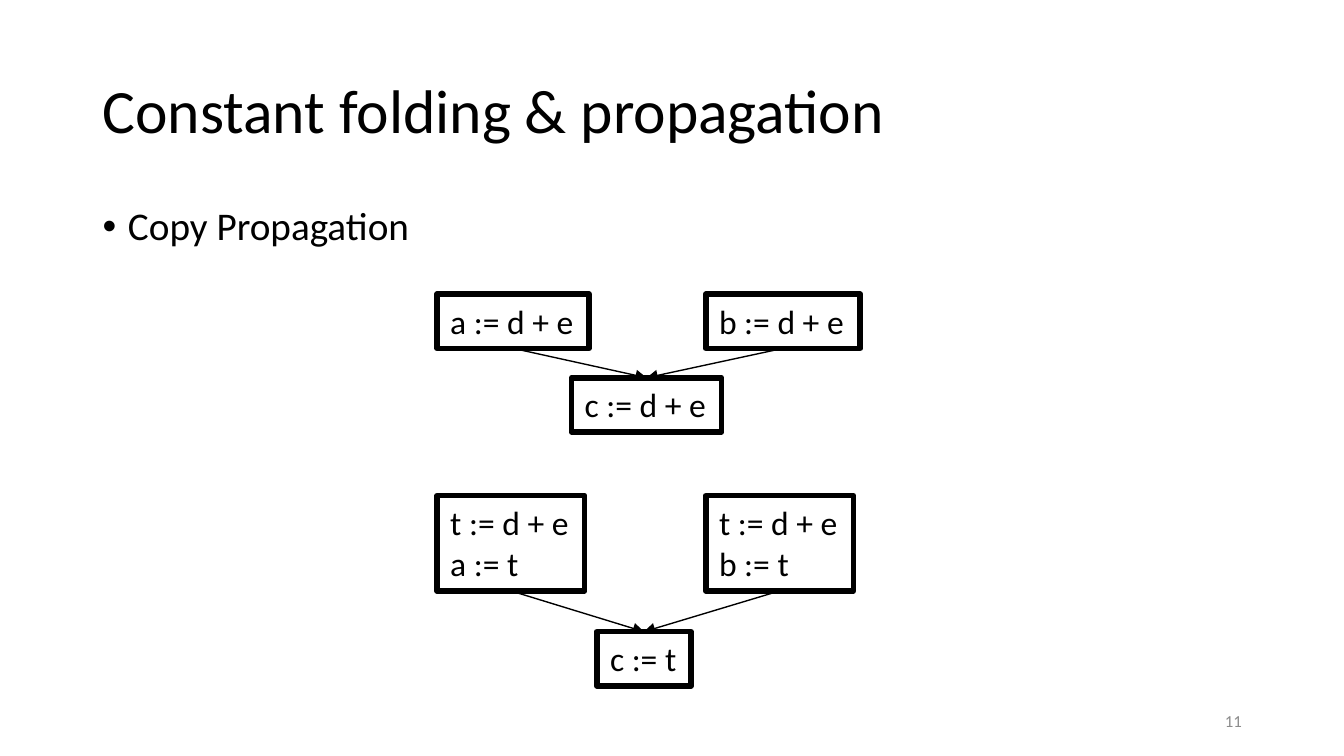
from dataclasses import dataclass

from lxml import etree
from pptx import Presentation
from pptx import util as u
from pptx.dml.color import RGBColor
from pptx.enum import shapes, text
from pptx.oxml import ns

FONT = "Calibri"
COLORS = {"ink": "000000", "number": "8C8C8C"}
LEFT_COLUMN, RIGHT_COLUMN = 8.26, 13.34
BOTTOM_SITE, TOP_SITE = 2, 0


@dataclass
class Label:
    content: str
    left: float
    top: float
    width: float
    height: float
    size: int
    color: str = "ink"
    anchor: text.MSO_ANCHOR = text.MSO_ANCHOR.MIDDLE
    align: text.PP_ALIGN = text.PP_ALIGN.LEFT
    spacing: float = 1.0


@dataclass
class Block:
    lines: list[str]
    left: float
    top: float
    width: float

    @property
    def height(self) -> float:
        return 0.25 + 0.775 * len(self.lines)


@dataclass
class Merge:
    sources: list[Block]
    target: Block


def add_span(para, content: str, size: int, color: str) -> None:
    span = para.add_run()
    span.text = content
    span.font.name = FONT
    span.font.size = u.Pt(size)
    span.font.color.rgb = RGBColor.from_string(COLORS[color])


def add_label(page, label: Label):
    box = page.shapes.add_textbox(
        u.Cm(label.left), u.Cm(label.top), u.Cm(label.width), u.Cm(label.height))
    frame = box.text_frame
    frame.word_wrap = True
    frame.vertical_anchor = label.anchor
    frame.margin_left = frame.margin_right = u.Cm(0.19)
    frame.margin_top = frame.margin_bottom = u.Cm(0.1)
    para = frame.paragraphs[0]
    para.alignment = label.align
    para.line_spacing = label.spacing
    add_span(para, label.content, label.size, label.color)
    return para


def add_bullet(para) -> None:
    para.space_before, para.space_after = u.Pt(7.5), u.Pt(6)
    properties = para._p.get_or_add_pPr()
    properties.set("marL", str(u.Cm(0.48)))
    properties.set("indent", str(-u.Cm(0.48)))
    etree.SubElement(properties, ns.qn("a:buFont"), typeface="Arial")
    etree.SubElement(properties, ns.qn("a:buChar"), char="•")


def add_block(page, block: Block):
    box = page.shapes.add_shape(
        shapes.MSO_SHAPE.RECTANGLE,
        u.Cm(block.left), u.Cm(block.top), u.Cm(block.width), u.Cm(block.height))
    box.shadow.inherit = False
    box.fill.background()
    box.line.color.rgb = RGBColor.from_string(COLORS["ink"])
    box.line.width = u.Pt(3)
    frame = box.text_frame
    frame.word_wrap = False
    frame.auto_size = text.MSO_AUTO_SIZE.SHAPE_TO_FIT_TEXT
    frame.vertical_anchor = text.MSO_ANCHOR.TOP
    for index, line in enumerate(block.lines):
        para = frame.add_paragraph() if index else frame.paragraphs[0]
        para.alignment = text.PP_ALIGN.LEFT
        add_span(para, line, 18, "ink")
    return box


def add_arrow(page, source, target) -> None:
    arrow = page.shapes.add_connector(shapes.MSO_CONNECTOR.STRAIGHT, 0, 0, 0, 0)
    arrow.begin_connect(source, BOTTOM_SITE)
    arrow.end_connect(target, TOP_SITE)
    arrow.line.color.rgb = RGBColor.from_string(COLORS["ink"])
    arrow.line.width = u.Pt(0.75)
    etree.SubElement(arrow.line._get_or_add_ln(), ns.qn("a:tailEnd"), type="triangle")
    etree.SubElement(arrow._element.spPr, ns.qn("a:effectLst"))


def add_merge(page, merge: Merge) -> None:
    sources = [add_block(page, block) for block in merge.sources]
    target = add_block(page, merge.target)
    for source in sources:
        add_arrow(page, source, target)


TITLE = Label("Constant folding & propagation", 1.75, 0.76, 21.9, 2.77, 33, spacing=0.9)
TOPIC = Label("Copy Propagation", 1.75, 3.81, 21.9, 9.07, 21,
              anchor=text.MSO_ANCHOR.TOP, spacing=0.9)
NUMBER = Label("11", 17.94, 13.24, 5.72, 0.76, 9, "number", align=text.PP_ALIGN.RIGHT)
MERGES = [
    Merge([Block(["a := d + e"], LEFT_COLUMN, 5.56, 2.87),
           Block(["b := d + e"], RIGHT_COLUMN, 5.56, 2.92)],
          Block(["c := d + e"], 10.8, 7.14, 2.84)),
    Merge([Block(["t := d + e", "a := t"], LEFT_COLUMN, 9.37, 2.79),
           Block(["t := d + e", "b := t"], RIGHT_COLUMN, 9.37, 2.79)],
          Block(["c := t"], 11.28, 11.94, 1.78)),
]

deck = Presentation()
deck.slide_width, deck.slide_height = u.Cm(25.4), u.Cm(14.29)
page = deck.slides.add_slide(deck.slide_layouts[6])
add_label(page, TITLE)
add_bullet(add_label(page, TOPIC))
add_label(page, NUMBER)
for merge in MERGES:
    add_merge(page, merge)
deck.save("out.pptx")
